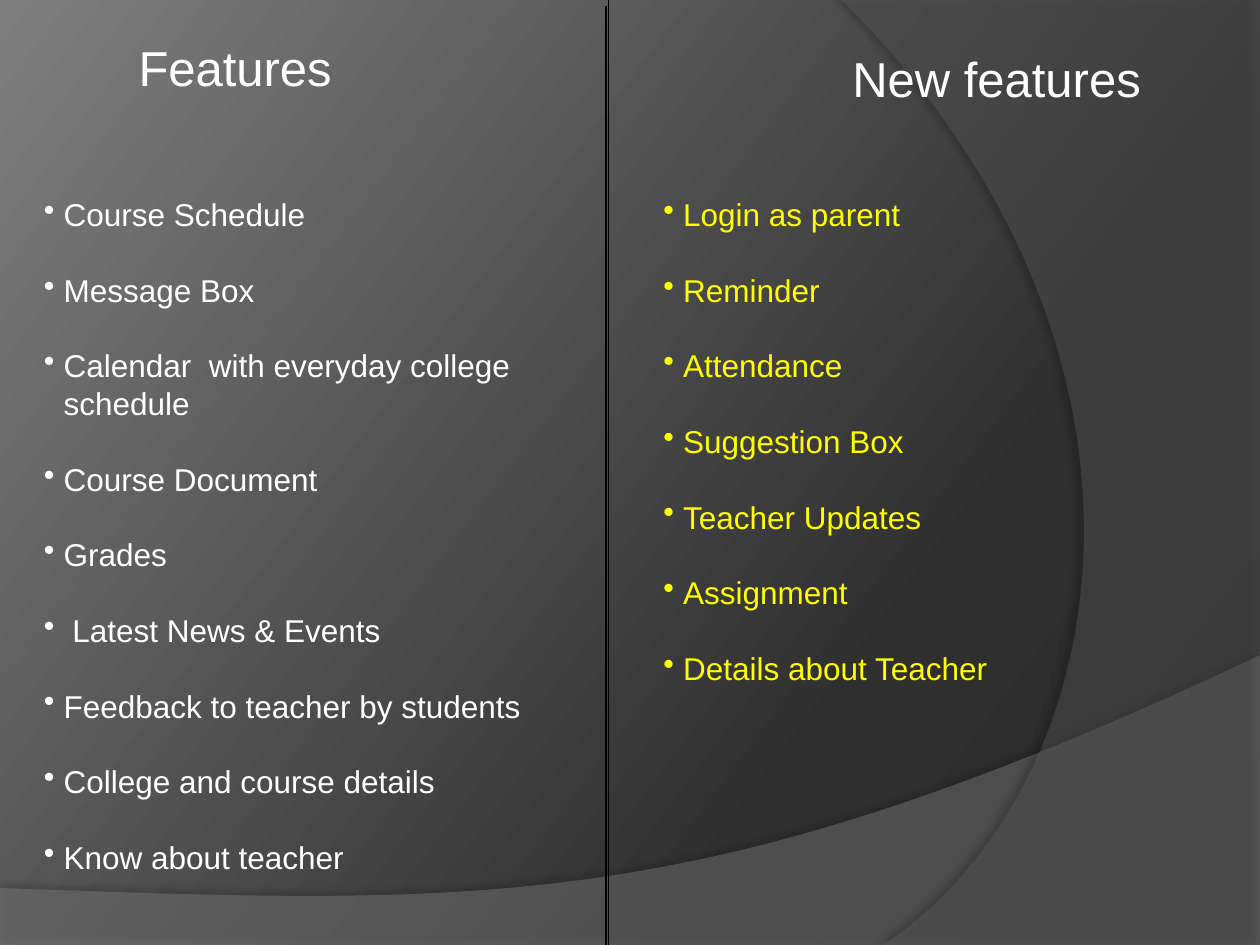
from copy import deepcopy
from dataclasses import dataclass

from pptx import Presentation
from pptx.dml.color import RGBColor
from pptx.enum import shapes, text
from pptx.oxml import ns, xmlchemy
from pptx.util import Pt


@dataclass(frozen=True)
class Theme:
    """Colours, font and type sizes of the deck."""
    font: str = "Arial"
    heading_size: int = 28
    body_size: int = 18
    line_height: float = 21.6
    bullet_indent: float = 11.3
    white: str = "FFFFFF"
    yellow: str = "FFFF00"
    black: str = "000000"
    wave: str = "7F7F7F"
    arc: str = "5E5E5E"
    backdrop: tuple = ((0, "282828"), (0.3, "2F2F2F"), (1, "7E7E7E"))
    backdrop_angle: int = 143


THEME = Theme()
WIDTH, HEIGHT = 720, 540
FEATURES = [
    "Course Schedule", "Message Box", "Calendar  with everyday college\vschedule",
    "Course Document", "Grades", " Latest News & Events",
    "Feedback to teacher by students", "College and course details",
    "Know about teacher",
]
NEW_FEATURES = [
    "Login as parent", "Reminder", "Attendance", "Suggestion Box",
    "Teacher Updates", "Assignment", "Details about Teacher",
]


def add_element(parent, tag, **attributes):
    """Append a drawing element with the given attributes."""
    child = xmlchemy.OxmlElement(tag)
    for name, value in attributes.items():
        child.set(name, str(value))
    parent.append(child)
    return child


def paint_backdrop(page):
    """Fill the page with the three-stop diagonal gradient."""
    fill = page.background.fill
    fill.gradient()
    fill.gradient_angle = THEME.backdrop_angle
    stop_list = next(page._element.iter(ns.qn("a:gsLst")))
    stop_list.append(deepcopy(stop_list[-1]))
    for stop, (position, colour) in zip(fill.gradient_stops, THEME.backdrop):
        stop.position = position
        stop.color.rgb = RGBColor.from_string(colour)


def curve(start, first, second, end, steps=60):
    """Return points along a cubic curve."""
    points = []
    for step in range(steps + 1):
        t = step / steps
        weights = ((1 - t) ** 3, 3 * t * (1 - t) ** 2, 3 * t * t * (1 - t), t ** 3)
        points.append(tuple(
            sum(weight * value for weight, value in zip(weights, axis))
            for axis in zip(start, first, second, end)))
    return points


def add_translucent_outline(page, box, points, colour, alpha, shadow):
    """Draw a translucent outline from fractions of its box."""
    left, top, width, height = box
    corners = [(Pt(left + x * width), Pt(top + y * height)) for x, y in points]
    builder = page.shapes.build_freeform(*corners[0], scale=1.0)
    builder.add_line_segments(corners[1:], close=True)
    outline = builder.convert_to_shape()
    outline.line.fill.background()
    outline.fill.solid()
    outline.fill.fore_color.rgb = RGBColor.from_string(colour)
    properties = outline._element.spPr
    add_element(next(properties.iter(ns.qn("a:srgbClr"))), "a:alpha", val=alpha * 1000)
    shadow_alpha, distance, direction = shadow
    effects = add_element(properties, "a:effectLst")
    cast = add_element(effects, "a:outerShdw", blurRad=Pt(4), dist=Pt(distance),
                       dir=direction * 60000, algn="ctr", rotWithShape=0)
    shade = add_element(cast, "a:srgbClr", val=THEME.black)
    add_element(shade, "a:alpha", val=shadow_alpha * 1000)


def add_wave(page, box):
    """Draw the wave along the foot of the page."""
    edge = curve((1, 0), (0.56, 0.9), (0.39, 0.86), (0, 0.8))
    add_translucent_outline(page, box, [(0, 1), (1, 1)] + edge,
                            THEME.wave, 45, (35, 3.5, 270))


def add_arc(page, box):
    """Draw the arc along the right of the page."""
    edge = curve((0.1, 1), (0.67, 0.83), (0.84, 0.37), (0, 0))
    add_translucent_outline(page, box, [(1, 0), (1, 1)] + edge,
                            THEME.arc, 40, (45, 4, 180))


def set_box(shape, box):
    """Place a shape in a box given in points."""
    shape.left, shape.top, shape.width, shape.height = map(Pt, box)


def set_font(para, size, colour):
    """Set the font of a paragraph."""
    para.font.name = THEME.font
    para.font.size = Pt(size)
    para.font.color.rgb = RGBColor.from_string(colour)


def format_heading(shape, box, wording):
    """Place and format a column heading."""
    set_box(shape, box)
    frame = shape.text_frame
    frame.text = wording
    frame.word_wrap = False
    frame.auto_size = text.MSO_AUTO_SIZE.NONE
    frame.vertical_anchor = text.MSO_ANCHOR.TOP
    para = frame.paragraphs[0]
    para.alignment = text.PP_ALIGN.LEFT
    set_font(para, THEME.heading_size, THEME.white)


def add_bullets(page, box, entries, colour):
    """Write a bulleted list with one line between entries."""
    frame = page.shapes.add_textbox(*map(Pt, box)).text_frame
    frame.word_wrap = True
    frame.text = "\n".join(entries)
    for para in frame.paragraphs:
        set_font(para, THEME.body_size, colour)
        para.line_spacing = Pt(THEME.line_height)
        para.space_after = Pt(THEME.line_height)
        properties = para._p.get_or_add_pPr()
        properties.set("marL", str(Pt(THEME.bullet_indent)))
        properties.set("indent", str(-Pt(THEME.bullet_indent)))
        bullet = xmlchemy.OxmlElement("a:buChar")
        bullet.set("char", "•")
        properties.find(ns.qn("a:defRPr")).addprevious(bullet)


def add_divider(page, x, top):
    """Draw a vertical rule of page height."""
    rule = page.shapes.add_connector(
        shapes.MSO_CONNECTOR.STRAIGHT, Pt(x), Pt(top), Pt(x), Pt(top + HEIGHT))
    rule.line.color.rgb = RGBColor.from_string(THEME.black)
    rule.line.width = Pt(0.75)
    add_element(rule._element.spPr, "a:effectLst")


def build_features_page(deck):
    """Build the page that compares features with new features."""
    page = deck.slides.add_slide(deck.slide_layouts[5])
    paint_backdrop(page)
    add_wave(page, (0, 374.4, WIDTH, 166.3))
    add_arc(page, (481, 0, 239, HEIGHT))
    format_heading(page.shapes.title, (72, 18, 126.7, 41), "Features")
    right_box = (480, 24, 181.4, 41)
    format_heading(page.shapes.add_textbox(*map(Pt, right_box)), right_box, "New features")
    add_divider(page, 347.8, 0)
    add_bullets(page, (18, 108, 336, 400), FEATURES, THEME.white)
    add_bullets(page, (372, 108, 202, 291), NEW_FEATURES, THEME.yellow)
    add_divider(page, 346.3, 3.6)


def main():
    """Build and save the deck."""
    deck = Presentation()
    deck.slide_width, deck.slide_height = Pt(WIDTH), Pt(HEIGHT)
    build_features_page(deck)
    deck.save("out.pptx")


if __name__ == "__main__":
    main()
